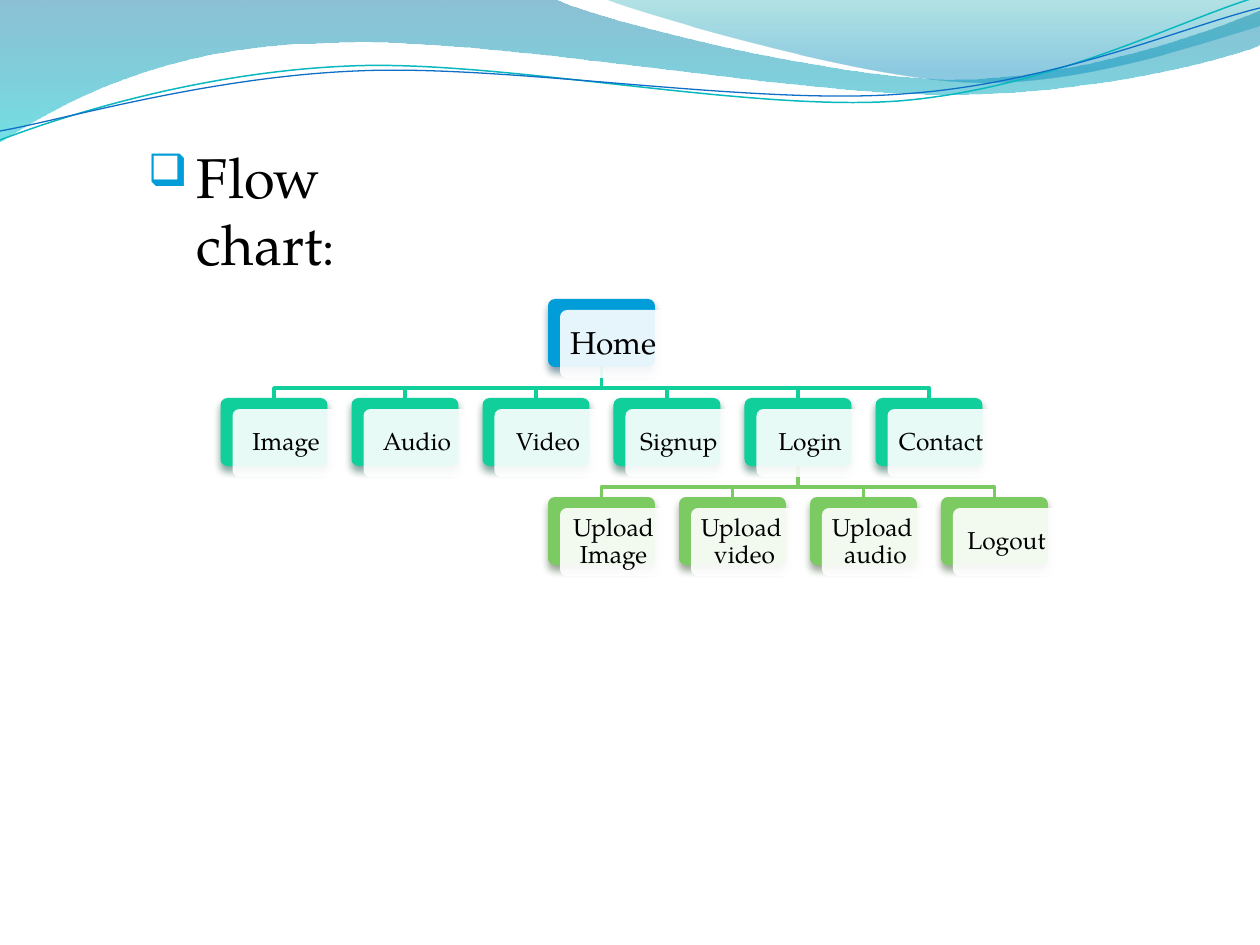
from lxml import etree
from pptx import Presentation
from pptx.dml.color import RGBColor
from pptx.enum.shapes import MSO_SHAPE
from pptx.enum.text import MSO_ANCHOR, PP_ALIGN
from pptx.oxml.ns import qn
from pptx.util import Emu, Pt

ROUNDED = MSO_SHAPE.ROUNDED_RECTANGLE
MIDDLE, TOP = MSO_ANCHOR.MIDDLE, MSO_ANCHOR.TOP
CENTER, LEFT = PP_ALIGN.CENTER, PP_ALIGN.LEFT

FONT, BULLET_FONT = "TeX Gyre Pagella", "OpenSymbol"
WHITE = RGBColor(0xFF, 0xFF, 0xFF)
BLACK = RGBColor(0x00, 0x00, 0x00)
BLUE = RGBColor(0x00, 0x9D, 0xD9)
GREEN = RGBColor(0x10, 0xCF, 0x9B)
LIME = RGBColor(0x7C, 0xCA, 0x62)
WAVE_BLUE = RGBColor(0x00, 0x74, 0xA1)
WAVE_CYAN = RGBColor(0x00, 0xC6, 0xCF)
CREST_TEAL = RGBColor(0x00, 0xA1, 0xA9)
CREST_BLUE = RGBColor(0x00, 0x8B, 0xBF)
LINE_TEAL = RGBColor(0x0A, 0xB8, 0xBF)
LINE_BLUE = RGBColor(0x0F, 0x6F, 0xC6)
SHADOWS = {
    BLUE: RGBColor(0x00, 0x37, 0x4C),
    GREEN: RGBColor(0x04, 0x4A, 0x37),
    LIME: RGBColor(0x2B, 0x48, 0x21),
}

NODE_W, NODE_H = 107, 68
PITCH_X, PITCH_Y = 131, 99
PANEL_DX, PANEL_DY = 12, 11
LINK_DROP = 21


def px(length):
    return Emu(round(length * 914400 / 126))


def set_alpha(shape, *percents):
    for color, percent in zip(shape._element.spPr.iter(qn("a:srgbClr")), percents):
        etree.SubElement(color, qn("a:alpha"), val=str(percent * 1000))


def add_shadow(shape, color):
    effects = shape._element.spPr.find(qn("a:effectLst"))
    outer = etree.SubElement(effects, qn("a:outerShdw"), blurRad=str(Pt(4.5)),
                             dist=str(Pt(3)), dir="5400000", rotWithShape="0")
    tint = etree.SubElement(outer, qn("a:srgbClr"), val=str(color))
    etree.SubElement(tint, qn("a:alpha"), val="48000")


def bend(outline, first):
    """Turn each three line steps, from the given one on, into a cubic curve."""
    trace = next(outline._element.iter(qn("a:path")))
    steps = trace.findall(qn("a:lnTo"))[first:]
    for i in range(0, len(steps) - 2, 3):
        cubic = etree.Element(qn("a:cubicBezTo"))
        steps[i].addprevious(cubic)
        for step in steps[i:i + 3]:
            cubic.append(step[0])
            trace.remove(step)


def add_outline(slide, points, closed=False, line=None, width=1):
    start, *rest = [(px(x), px(y)) for x, y in points]
    builder = slide.shapes.build_freeform(*start)
    builder.add_line_segments(rest, close=closed)
    outline = builder.convert_to_shape()
    outline.shadow.inherit = False
    outline.fill.background()
    if line is None:
        outline.line.fill.background()
    else:
        outline.line.color.rgb = line
        outline.line.width = Pt(width)
    return outline


def write_text(shape, runs, margins, align=LEFT, anchor=TOP, spacing=None,
               hanging=0, bullet=None):
    """Fill a shape with one paragraph made of (text, size) runs."""
    frame = shape.text_frame
    frame.word_wrap = True
    frame.vertical_anchor = anchor
    (frame.margin_left, frame.margin_top,
     frame.margin_right, frame.margin_bottom) = map(px, margins)
    paragraph = frame.paragraphs[0]
    paragraph.alignment = align
    paragraph.line_spacing = spacing
    if bullet:
        props = paragraph._p.get_or_add_pPr()
        props.set("marL", str(px(hanging)))
        props.set("indent", str(-px(hanging)))
        tint = etree.SubElement(props, qn("a:buClr"))
        etree.SubElement(tint, qn("a:srgbClr"), val=str(BLUE))
        etree.SubElement(props, qn("a:buSzPct"), val="80000")
        etree.SubElement(props, qn("a:buFont"), typeface=BULLET_FONT)
        etree.SubElement(props, qn("a:buChar"), char=bullet)
    for text, size in runs:
        run = paragraph.add_run()
        run.text = text
        run.font.name = FONT
        run.font.size = Pt(size)
        run.font.color.rgb = BLACK


def add_wave(slide, points, straight, stops, alphas):
    wave = add_outline(slide, points, closed=True)
    bend(wave, straight)
    wave.fill.gradient()
    wave.fill.gradient_angle = 270
    for stop, (color, position) in zip(wave.fill.gradient_stops, stops):
        stop.color.rgb = color
        stop.position = position
    set_alpha(wave, *alphas)


def add_header(slide, left, top):
    def place(*points):
        return [(left + x, top + y) for x, y in points]

    # Broad wave: top edge, two curves, right edge, three curves back
    upper = place((0, 0), (554, -1), (600, 21), (837, 79), (955, 79),
                  (1075, 79), (1207, 33), (1260, 11))
    # The right edge is a curve with its handles at its ends
    right_edge = place((1260, 11), (1261, 45), (1261, 45))
    lower = place((1239, 55), (1096, 96), (940, 94),
                  (784, 94), (481, 35), (324, 43),
                  (163, 45), (58, 105), (-1, 142))
    add_wave(slide, upper + right_edge + lower, 1,
             [(WAVE_BLUE, 0), (WAVE_CYAN, 1)], (45, 55))
    # Crest at the right
    crest = place((604, -1), (641, 14), (859, 78), (969, 82),
                  (1079, 87), (1211, 40), (1260, 26), (1260, 0))
    add_wave(slide, crest, 0, [(CREST_TEAL, 0), (CREST_BLUE, 0.8)], (30, 45))
    # Two thin swirls
    teal_swirl = place((0, 140), (60, 117), (199, 72), (349, 66), (498, 59),
                       (747, 112), (898, 101), (1050, 89), (1182, 19), (1257, -3))
    blue_swirl = place((0, 131), (59, 121), (207, 77), (357, 71), (508, 64),
                       (752, 106), (903, 94), (1053, 84), (1186, 26), (1260, 8))
    bend(add_outline(slide, teal_swirl, line=LINE_TEAL, width=0.85), 0)
    bend(add_outline(slide, blue_swirl, line=LINE_BLUE, width=0.75), 0)


def add_heading(slide, left, top, width, height):
    heading = slide.shapes.add_textbox(px(left), px(top), px(width), px(height))
    write_text(heading, [("Flow", 32), (" ", 28), ("chart", 32), (":", 28)],
               margins=(12, 6, 40, 6), hanging=49, bullet="❑")


def add_card(slide, left, top, color, fill_alpha=None):
    card = slide.shapes.add_shape(ROUNDED, px(left), px(top), px(NODE_W), px(NODE_H))
    card.adjustments[0] = 0.1
    card.shadow.inherit = False
    card.fill.solid()
    card.fill.fore_color.rgb = color
    card.line.fill.background()
    if fill_alpha:
        set_alpha(card, fill_alpha)
    return card


def add_node(slide, left, top, label, color, size=14, margin=6):
    add_shadow(add_card(slide, left, top, color), SHADOWS[color])
    panel = add_card(slide, left + PANEL_DX, top + PANEL_DY, WHITE, fill_alpha=90)
    write_text(panel, [(label, size)], margins=(margin,) * 4,
               align=CENTER, anchor=MIDDLE, spacing=0.9)


def child_lefts(parent_left, count):
    first = parent_left - (count - 1) * PITCH_X / 2
    return [first + i * PITCH_X for i in range(count)]


def add_links(slide, parent_left, parent_top, lefts, color):
    middle = parent_left + NODE_W / 2
    bottom = parent_top + NODE_H
    for left in lefts:
        end = left + NODE_W / 2
        add_outline(slide, [(middle, bottom), (middle, bottom + LINK_DROP),
                            (end, bottom + LINK_DROP), (end, parent_top + PITCH_Y)],
                    line=color, width=2)


def add_site_tree(slide, home_left, home_top):
    pages = ["Image", "Audio", "Video", "Signup", "Login", "Contact"]
    actions = ["Upload Image", "Upload  video", "Upload  audio", "Logout"]
    page_top, action_top = home_top + PITCH_Y, home_top + 2 * PITCH_Y
    page_lefts = child_lefts(home_left, len(pages))
    login_left = page_lefts[pages.index("Login")]
    action_lefts = child_lefts(login_left, len(actions))
    # Links lie behind the nodes
    add_links(slide, home_left, home_top, page_lefts, GREEN)
    add_links(slide, login_left, page_top, action_lefts, LIME)
    add_node(slide, home_left, home_top, "Home", BLUE, size=18)
    for left, page in zip(page_lefts, pages):
        add_node(slide, left, page_top, page, GREEN)
    for left, action in zip(action_lefts, actions):
        add_node(slide, left, action_top, action, LIME)


def main():
    deck = Presentation()
    deck.slide_width, deck.slide_height = px(1260), px(945)
    slide = deck.slides.add_slide(deck.slide_layouts[6])
    add_header(slide, 0, 0)
    add_site_tree(slide, 548, 299)
    add_heading(slide, 136, 136, 343, 81)
    deck.save("out.pptx")


if __name__ == "__main__":
    main()
